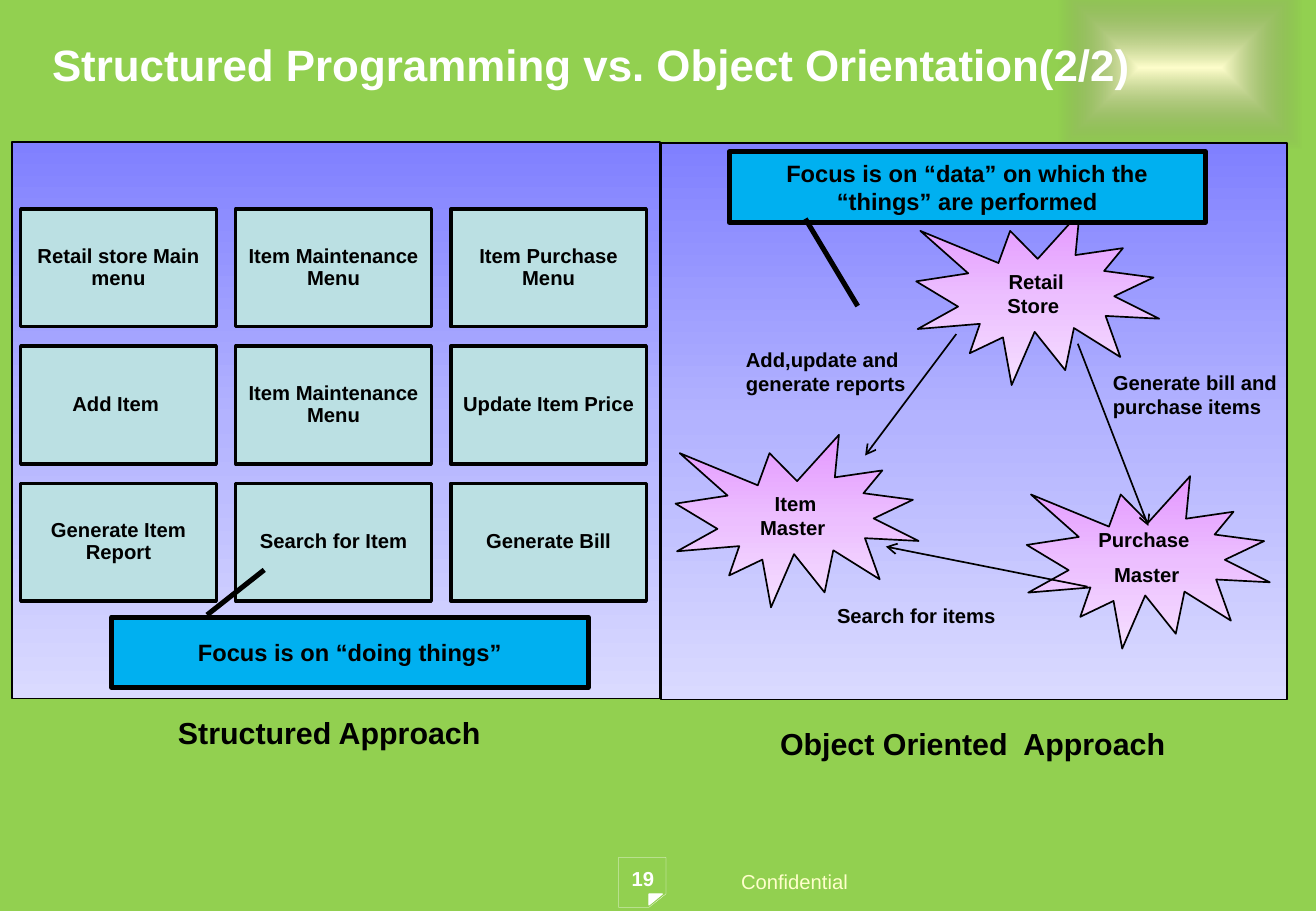
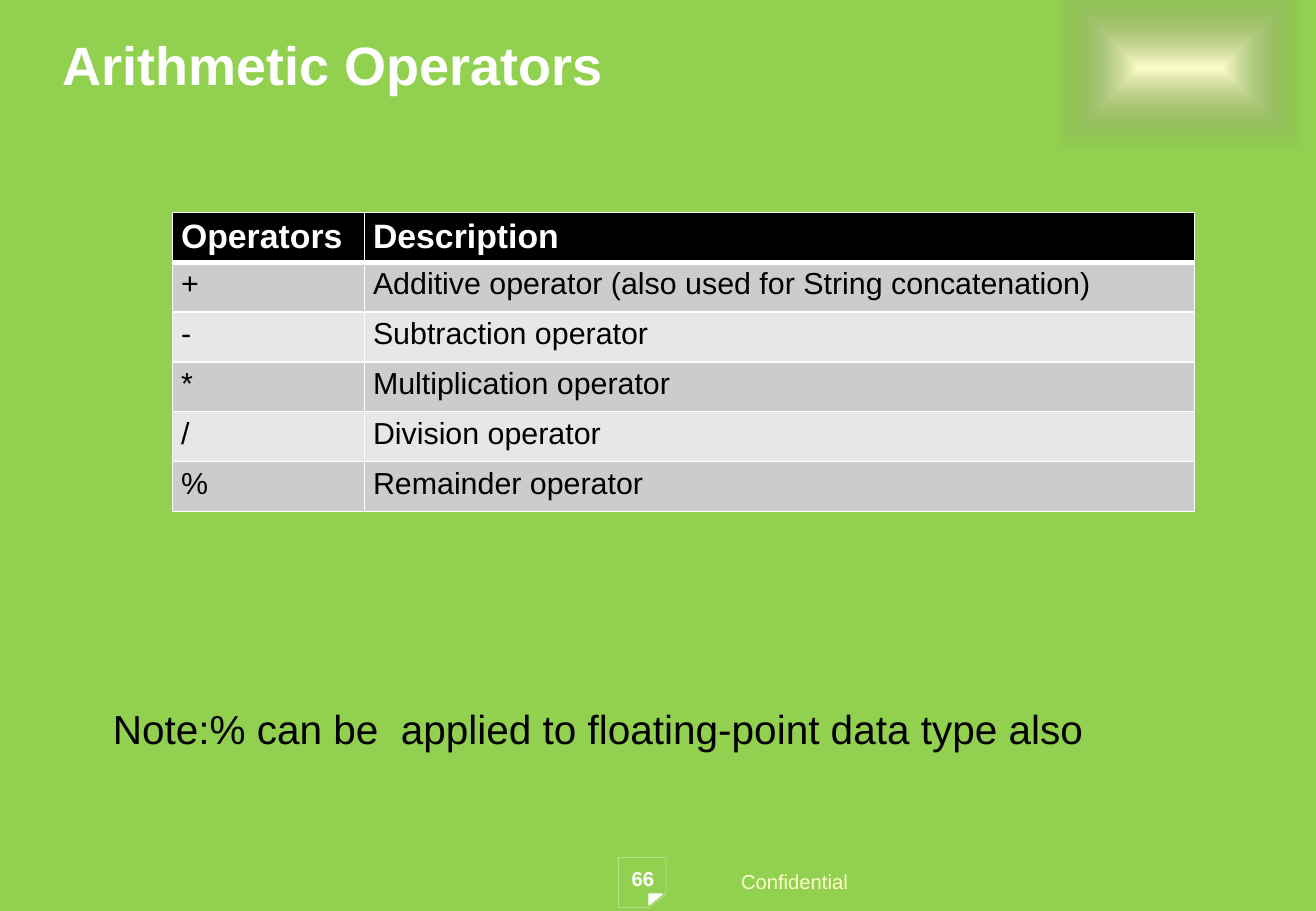
from dataclasses import dataclass
from typing import NamedTuple

from lxml import etree
from pptx import Presentation
from pptx.dml.color import RGBColor
from pptx.enum.shapes import MSO_CONNECTOR, MSO_SHAPE
from pptx.enum.text import MSO_ANCHOR, PP_ALIGN
from pptx.oxml.ns import qn
from pptx.util import Pt

EMU_PER_PX = 9144  # 100 px to the inch

RECTANGLE = MSO_SHAPE.RECTANGLE
SEAL = MSO_SHAPE.EXPLOSION1
CALLOUT = MSO_SHAPE.LINE_CALLOUT_1
STRAIGHT = MSO_CONNECTOR.STRAIGHT
LEFT, CENTER = PP_ALIGN.LEFT, PP_ALIGN.CENTER
TOP, MIDDLE = MSO_ANCHOR.TOP, MSO_ANCHOR.MIDDLE

FONT = "Arial"
GREEN, WHITE, BLACK, CREAM = "92D050", "FFFFFF", "000000", "FFFFCC"
MODULE_BLUE, CALLOUT_BLUE = "BBE0E3", "00B0F0"
BAND_COLORS = ("CCCCCC", "E7E7E7")


class Box(NamedTuple):
    left: int
    top: int
    width: int
    height: int


class Stop(NamedTuple):
    percent: int
    color: str
    opacity: int = 100


PANEL_STOPS = (Stop(0, "8080FF"), Stop(50, "B3B3FF"), Stop(100, "DADAFF"))
SEAL_STOPS = (Stop(0, "E497FF"), Stop(50, "ECBFFF"), Stop(100, "F5DFFF"))
GLOW_STOPS = (Stop(0, CREAM), Stop(100, "76765E", 0))


@dataclass(frozen=True)
class TextStyle:
    size: int = 12
    color: str = BLACK
    bold: bool = True
    align: PP_ALIGN = LEFT
    anchor: MSO_ANCHOR = TOP
    spacing: float = 1.0
    shadow: bool = False
    wrap: bool = True


LABEL = TextStyle()
SEAL_TEXT = TextStyle(align=CENTER, anchor=MIDDLE)
MODULE_TEXT = TextStyle(align=CENTER, anchor=MIDDLE, spacing=0.9)
CALLOUT_TEXT = TextStyle(14, align=CENTER, anchor=MIDDLE)
CAPTION = TextStyle(18, align=CENTER)
PAGE_NUMBER = TextStyle(color=WHITE, align=CENTER)
FOOTER = TextStyle(color=CREAM, bold=False, shadow=True, wrap=False)
NOTE = TextStyle(24, bold=False)
TABLE_HEADER = TextStyle(20, WHITE, spacing=1.15)
TABLE_BODY = TextStyle(18, bold=False, spacing=1.15)


@dataclass(frozen=True)
class Labelled:
    box: Box
    text: str


@dataclass(frozen=True)
class Callout:
    box: Box
    text: str
    adjustments: tuple[float, ...]


@dataclass(frozen=True)
class Message:
    start: tuple[int, int]
    end: tuple[int, int]
    label: Labelled


PANELS = (Box(544, 118, 515, 458), Box(10, 117, 533, 458))
OBJECTS = (
    Labelled(Box(754, 175, 200, 142), "Retail Store "),
    Labelled(Box(556, 358, 200, 142), "Item Master "),
    Labelled(Box(845, 392, 200, 142), "Purchase \nMaster"),
)
MESSAGES = (
    Message((787, 275), (712, 375),
            Labelled(Box(604, 281, 167, 51), "Add,update and generate reports")),
    Message((895, 483), (729, 450),
            Labelled(Box(679, 492, 167, 30), "Search for items")),
    Message((887, 283), (945, 433),
            Labelled(Box(906, 300, 167, 51), "Generate bill and purchase items")),
)
CAPTIONS = (
    Labelled(Box(25, 583, 492, 40), "Structured Approach"),
    Labelled(Box(558, 592, 492, 40), "Object Oriented  Approach "),
)
MODULES = (
    ("Retail store Main menu", "Item Maintenance Menu", "Item Purchase Menu"),
    ("Add Item ", "Item Maintenance Menu", "Update Item Price"),
    ("Generate Item Report", "Search for Item", "Generate Bill"),
)
MODULE_ORIGIN = Box(17, 172, 161, 97)
MODULE_GAP = 16
CALLOUTS = (
    Callout(Box(92, 508, 392, 58), "Focus is on “doing things”",
            (-0.03, 0.2, -0.67, 0.32)),
    Callout(Box(600, 125, 392, 58),
            "Focus is on “data” on which the “things” are performed",
            (0.95, 0.16, 2.19, 0.27)),
)
OPERATORS = (
    ("Operators", "Description"),
    ("+", "Additive operator (also used for String concatenation)"),
    ("-", "Subtraction operator"),
    ("*", "Multiplication operator"),
    ("/", "Division operator"),
    ("%", "Remainder operator"),
)
COLUMN_WIDTHS = (158, 683)
ROW_HEIGHT = 41


def px(value: int) -> int:
    return value * EMU_PER_PX


def emu(box: Box) -> tuple[int, ...]:
    return tuple(px(value) for value in box)


def rgb(color: str) -> RGBColor:
    return RGBColor.from_string(color)


def add_color(parent, color: str, opacity: int = 100):
    element = etree.SubElement(parent, qn("a:srgbClr"), val=color)
    if opacity < 100:
        etree.SubElement(element, qn("a:alpha"), val=str(opacity * 1000))


def write_text(frame, text: str, style: TextStyle, inset: int | None = None):
    frame.text = text
    frame.word_wrap = style.wrap
    frame.vertical_anchor = style.anchor
    if inset is not None:
        frame.margin_left = frame.margin_right = px(inset)
        frame.margin_top = frame.margin_bottom = px(inset)
    for index, paragraph in enumerate(frame.paragraphs):
        paragraph.alignment = style.align
        paragraph.line_spacing = style.spacing
        if index:
            paragraph.space_before = Pt(style.size / 2)
        for run in paragraph.runs:
            font = run.font
            font.name, font.size, font.bold = FONT, Pt(style.size), style.bold
            font.color.rgb = rgb(style.color)
            if style.shadow:
                add_text_shadow(run)


def add_text_shadow(run):
    effects = etree.Element(qn("a:effectLst"))
    shadow = etree.SubElement(effects, qn("a:outerShdw"),
                              dist="38100", dir="2700000", algn="tl")
    add_color(shadow, BLACK)
    run.font._element.find(qn("a:solidFill")).addnext(effects)


def add_text(slide, box: Box, text: str, style: TextStyle):
    write_text(slide.shapes.add_textbox(*emu(box)).text_frame, text, style)


def set_look(shape, fill: str | None, line: str | None, width: float = 1):
    shape.shadow.inherit = False
    if fill:
        shape.fill.solid()
        shape.fill.fore_color.rgb = rgb(fill)
    else:
        shape.fill.background()
    if line:
        shape.line.color.rgb = rgb(line)
        shape.line.width = Pt(width)
    else:
        shape.line.fill.background()


def set_gradient(shape, stops: tuple[Stop, ...], from_center: bool = False):
    """Replace the empty fill of a shape with a gradient."""
    gradient = etree.Element(qn("a:gradFill"), rotWithShape="1")
    stop_list = etree.SubElement(gradient, qn("a:gsLst"))
    for stop in stops:
        element = etree.SubElement(stop_list, qn("a:gs"), pos=str(stop.percent * 1000))
        add_color(element, stop.color, stop.opacity)
    if from_center:
        center = etree.SubElement(gradient, qn("a:path"), path="shape")
        etree.SubElement(center, qn("a:fillToRect"),
                         {side: "50000" for side in "ltrb"})
    else:
        etree.SubElement(gradient, qn("a:lin"), ang="5400000", scaled="1")
    properties = shape._element.spPr
    properties.replace(properties.find(qn("a:noFill")), gradient)


def add_shape(slide, kind: MSO_SHAPE, box: Box, fill: str | None = None,
              line: str | None = BLACK, width: float = 1):
    shape = slide.shapes.add_shape(kind, *emu(box))
    set_look(shape, fill, line, width)
    return shape


def add_outline(slide, points: tuple[tuple[int, int], ...], fill: str | None,
                width: float):
    builder = slide.shapes.build_freeform(*points[0], scale=EMU_PER_PX)
    builder.add_line_segments(points[1:], close=True)
    set_look(builder.convert_to_shape(), fill, WHITE, width)


def add_arrow(slide, start: tuple[int, int], end: tuple[int, int]):
    arrow = slide.shapes.add_connector(STRAIGHT, *map(px, start + end))
    arrow.line.color.rgb = rgb(BLACK)
    arrow.line.width = Pt(1)
    properties = arrow._element.spPr
    etree.SubElement(properties.find(qn("a:ln")), qn("a:tailEnd"), type="arrow")
    etree.SubElement(properties, qn("a:effectLst"))


def add_base_slide(presentation, number: str):
    """Add a slide with the corner glow, page mark and footer."""
    slide = presentation.slides.add_slide(presentation.slide_layouts[6])
    glow = add_shape(slide, RECTANGLE, Box(871, -11, 200, 133), line=None)
    set_gradient(glow, GLOW_STOPS, from_center=True)
    add_outline(slide, ((548, 736), (548, 706), (509, 706), (509, 747), (534, 747)),
                None, 0.13)
    add_outline(slide, ((534, 745), (534, 736), (545, 736)), WHITE, 0.75)
    add_text(slide, Box(600, 711, 109, 30), "Confidential", FOOTER)
    add_text(slide, Box(483, 708, 92, 52), number, PAGE_NUMBER)
    return slide


def add_title(slide, box: Box, text: str, size: int):
    add_text(slide, box, text, TextStyle(size, WHITE, anchor=MIDDLE, shadow=True))


def build_comparison(presentation):
    slide = add_base_slide(presentation, "19")
    for box in PANELS:
        set_gradient(add_shape(slide, RECTANGLE, box), PANEL_STOPS)
    # Objects and their messages
    for item in OBJECTS:
        seal = add_shape(slide, SEAL, item.box)
        set_gradient(seal, SEAL_STOPS)
        write_text(seal.text_frame, item.text, SEAL_TEXT)
    for message in MESSAGES:
        add_arrow(slide, message.start, message.end)
        add_text(slide, message.label.box, message.label.text, LABEL)
    for caption in CAPTIONS:
        add_text(slide, caption.box, caption.text, CAPTION)
    add_title(slide, Box(33, 0, 967, 106),
              "Structured Programming vs. Object Orientation(2/2)", 26)
    # Grid of program modules
    left, top, width, height = MODULE_ORIGIN
    for row, names in enumerate(MODULES):
        for column, name in enumerate(names):
            box = Box(left + column * (width + MODULE_GAP),
                      top + row * (height + MODULE_GAP), width, height)
            module = add_shape(slide, RECTANGLE, box, MODULE_BLUE, width=2)
            write_text(module.text_frame, name, MODULE_TEXT, inset=5)
    for callout in CALLOUTS:
        shape = add_shape(slide, CALLOUT, callout.box, CALLOUT_BLUE, width=3)
        for index, value in enumerate(callout.adjustments):
            shape.adjustments[index] = value
        write_text(shape.text_frame, callout.text, CALLOUT_TEXT)


def set_borders(cell, row: int):
    heavy = {0: "lnB", 1: "lnT"}.get(row)  # rule under the header
    properties = cell._tc.get_or_add_tcPr()
    for index, side in enumerate(("lnL", "lnR", "lnT", "lnB")):
        width = Pt(3 if side == heavy else 1)
        border = etree.Element(qn(f"a:{side}"), w=str(width))
        add_color(etree.SubElement(border, qn("a:solidFill")), WHITE)
        properties.insert(index, border)


def build_operators(presentation):
    slide = add_base_slide(presentation, "66")
    add_title(slide, Box(42, 0, 883, 106), "Arithmetic Operators", 32)
    box = Box(142, 175, sum(COLUMN_WIDTHS), ROW_HEIGHT * len(OPERATORS))
    table = slide.shapes.add_table(len(OPERATORS), len(COLUMN_WIDTHS), *emu(box)).table
    table.horz_banding = False
    for column, width in zip(table.columns, COLUMN_WIDTHS):
        column.width = px(width)
    for row, values in enumerate(OPERATORS):
        for column, value in enumerate(values):
            cell = table.cell(row, column)
            cell.margin_left = cell.margin_right = px(7)
            cell.margin_top = cell.margin_bottom = 0
            cell.fill.solid()
            cell.fill.fore_color.rgb = rgb(BAND_COLORS[(row - 1) % 2] if row else BLACK)
            set_borders(cell, row)
            write_text(cell.text_frame, value, TABLE_BODY if row else TABLE_HEADER)
    add_text(slide, Box(83, 575, 858, 50),
             "Note:% can be  applied to floating-point data type also", NOTE)


def main():
    presentation = Presentation()
    presentation.slide_width, presentation.slide_height = px(1083), px(750)
    background = presentation.slide_master.background.fill
    background.solid()
    background.fore_color.rgb = rgb(GREEN)
    build_comparison(presentation)
    build_operators(presentation)
    presentation.save("out.pptx")


if __name__ == "__main__":
    main()
